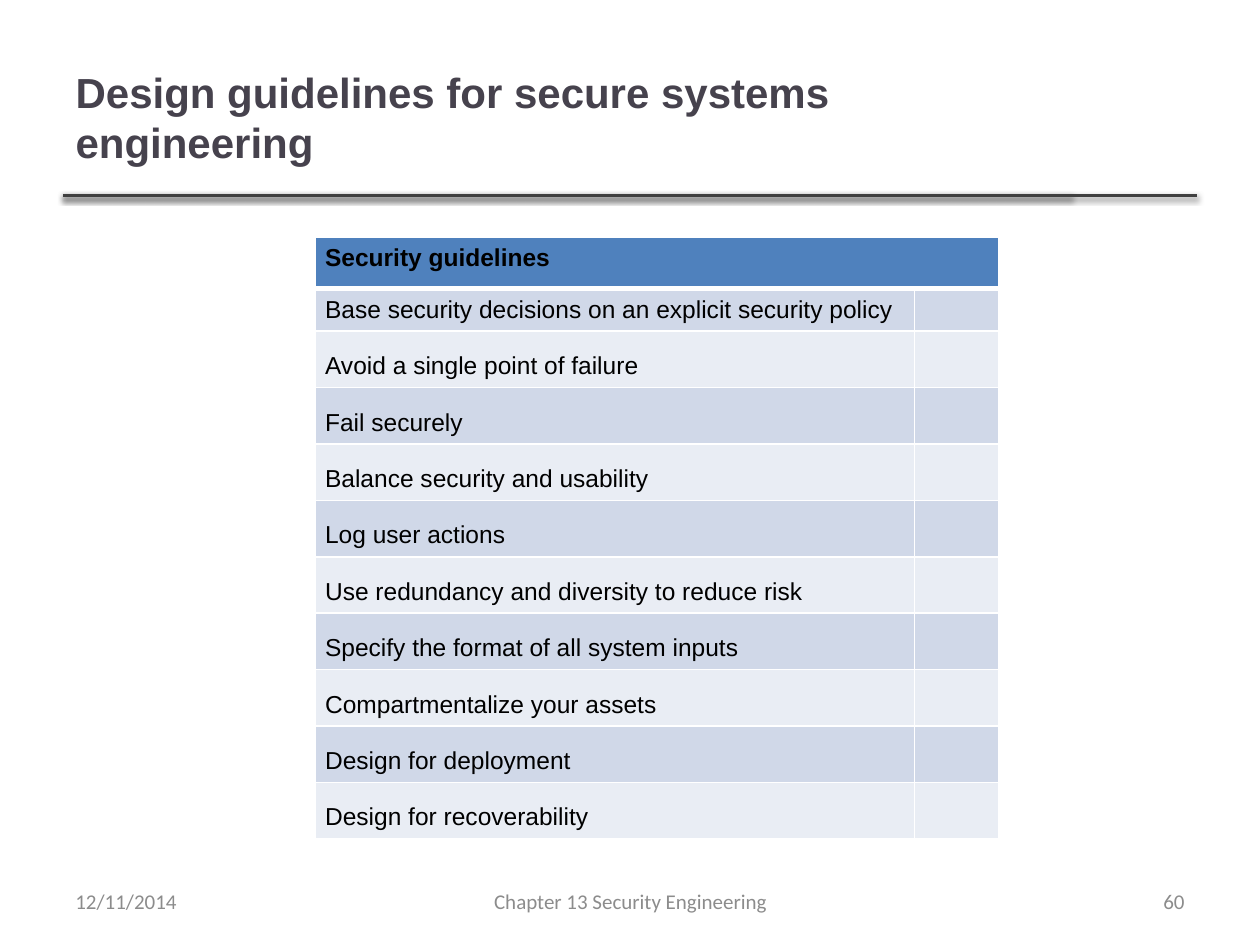
from lxml import etree
from pptx import Presentation
from pptx.dml.color import RGBColor
from pptx.enum.shapes import MSO_CONNECTOR
from pptx.enum.text import MSO_ANCHOR, PP_ALIGN
from pptx.oxml import parse_xml
from pptx.oxml.ns import nsdecls, qn
from pptx.util import Inches, Pt

STRAIGHT = MSO_CONNECTOR.STRAIGHT
MIDDLE, TOP = MSO_ANCHOR.MIDDLE, MSO_ANCHOR.TOP
LEFT, CENTER, RIGHT = PP_ALIGN.LEFT, PP_ALIGN.CENTER, PP_ALIGN.RIGHT
JUSTIFY = PP_ALIGN.JUSTIFY

GUIDELINES = [
    "Base security decisions on an explicit security policy",
    "Avoid a single point of failure",
    "Fail securely",
    "Balance security and usability",
    "Log user actions",
    "Use redundancy and diversity to reduce risk",
    "Specify the format of all system inputs",
    "Compartmentalize your assets",
    "Design for deployment",
    "Design for recoverability",
]


def color(value):
    return RGBColor.from_string(value)


class GuidelinePage:
    unit = 0.5
    heading_font, footer_font = "Arial", "Calibri"
    title_color, rule_color, footer_color = "46424D", "404040", "8C8C8C"
    header_fill, bands = "4F81BD", ("D0D8E8", "E9EDF4")
    border_color, text_color = "FFFFFF", "000000"

    def __init__(self, deck):
        self.page = deck.slides.add_slide(deck.slide_layouts[5])

    def grid(self, *cells):
        return [Inches(cell * self.unit) for cell in cells]

    def style(self, para, font, size, value, align, bold=False):
        para.alignment = align
        para.font.name = font
        para.font.size = Pt(size)
        para.font.bold = bold
        para.font.color.rgb = color(value)

    def rule(self, start, end, row):
        left, right, y = self.grid(start, end, row)
        line = self.page.shapes.add_connector(STRAIGHT, left, y, right, y)
        line.line.color.rgb = color(self.rule_color)
        line.line.width = Pt(2)
        line._element.spPr.append(parse_xml(
            f'<a:effectLst {nsdecls("a")}><a:outerShdw blurRad="39370" dist="20320" '
            'dir="5400000" rotWithShape="0"><a:srgbClr val="000000">'
            '<a:alpha val="38000"/></a:srgbClr></a:outerShdw></a:effectLst>'))

    def title(self, text, *place):
        box = self.page.shapes.title
        box.left, box.top, box.width, box.height = self.grid(*place)
        box.text_frame.text = text
        box.text_frame.vertical_anchor = MIDDLE
        self.style(box.text_frame.paragraphs[0], self.heading_font, 24,
                   self.title_color, LEFT, True)

    def footer(self, text, align, *place):
        frame = self.page.shapes.add_textbox(*self.grid(*place)).text_frame
        frame.word_wrap = True
        frame.vertical_anchor = MIDDLE
        frame.text = text
        self.style(frame.paragraphs[0], self.footer_font, 12, self.footer_color, align)

    def borders(self, cell, bottom):
        properties = cell._tc.get_or_add_tcPr()
        widths = {"a:lnL": 1, "a:lnR": 1, "a:lnT": 1, "a:lnB": bottom}
        for index, (side, width) in enumerate(widths.items()):
            line = etree.Element(qn(side), w=str(Pt(width)))
            fill = etree.SubElement(line, qn("a:solidFill"))
            etree.SubElement(fill, qn("a:srgbClr"), val=self.border_color)
            properties.insert(index, line)

    def cell(self, cell, text, fill, anchor, bold=False, spacing=None, bottom=1):
        cell.fill.solid()
        cell.fill.fore_color.rgb = color(fill)
        cell.vertical_anchor = anchor
        cell.margin_left = cell.margin_right = Inches(0.08)
        cell.margin_top = cell.margin_bottom = Inches(0.06 if text else 0)
        cell.text = text
        para = cell.text_frame.paragraphs[0]
        self.style(para, self.heading_font, 14, self.text_color, JUSTIFY, bold)
        if spacing:
            para.line_spacing = spacing
        self.borders(cell, bottom)

    def table(self, header, entries, columns, heights, *place):
        table = self.page.shapes.add_table(
            len(entries) + 1, len(columns), *self.grid(*place)).table
        table.horz_banding = False
        for column, width in zip(table.columns, self.grid(*columns)):
            column.width = width
        for row, height in zip(table.rows, self.grid(*heights)):
            row.height = height
        for index, text in enumerate((header, "")):
            self.cell(table.cell(0, index), text, self.header_fill, TOP, True, bottom=3)
        table.cell(0, 0).merge(table.cell(0, 1))
        for row, entry in enumerate(entries, 1):
            fill = self.bands[(row - 1) % 2]
            spacing = 1.5 if row > 1 else None
            self.cell(table.cell(row, 0), entry, fill, MIDDLE, spacing=spacing)
            self.cell(table.cell(row, 1), "", fill, TOP)


def main():
    deck = Presentation()
    deck.slide_width, deck.slide_height = Inches(10), Inches(7.5)
    page = GuidelinePage(deck)
    for end in (17, 19):
        page.rule(1, end, 3.1)
    page.title("Design guidelines for secure systems engineering", 1, 0.6, 15.96, 2.5)
    heights = [0.82, 0.66] + [0.89] * (len(GUIDELINES) - 1)
    page.table("Security guidelines", GUIDELINES, (9.52, 1.34), heights,
               5, 3.76, 10.86, sum(heights))
    page.footer("Chapter 13 Security Engineering", CENTER, 6.84, 13.9, 6.34, 0.8)
    page.footer("60", RIGHT, 14.34, 13.9, 4.66, 0.8)
    page.footer("12/11/2014", LEFT, 1, 13.9, 4.66, 0.8)
    deck.save("out.pptx")


if __name__ == "__main__":
    main()
